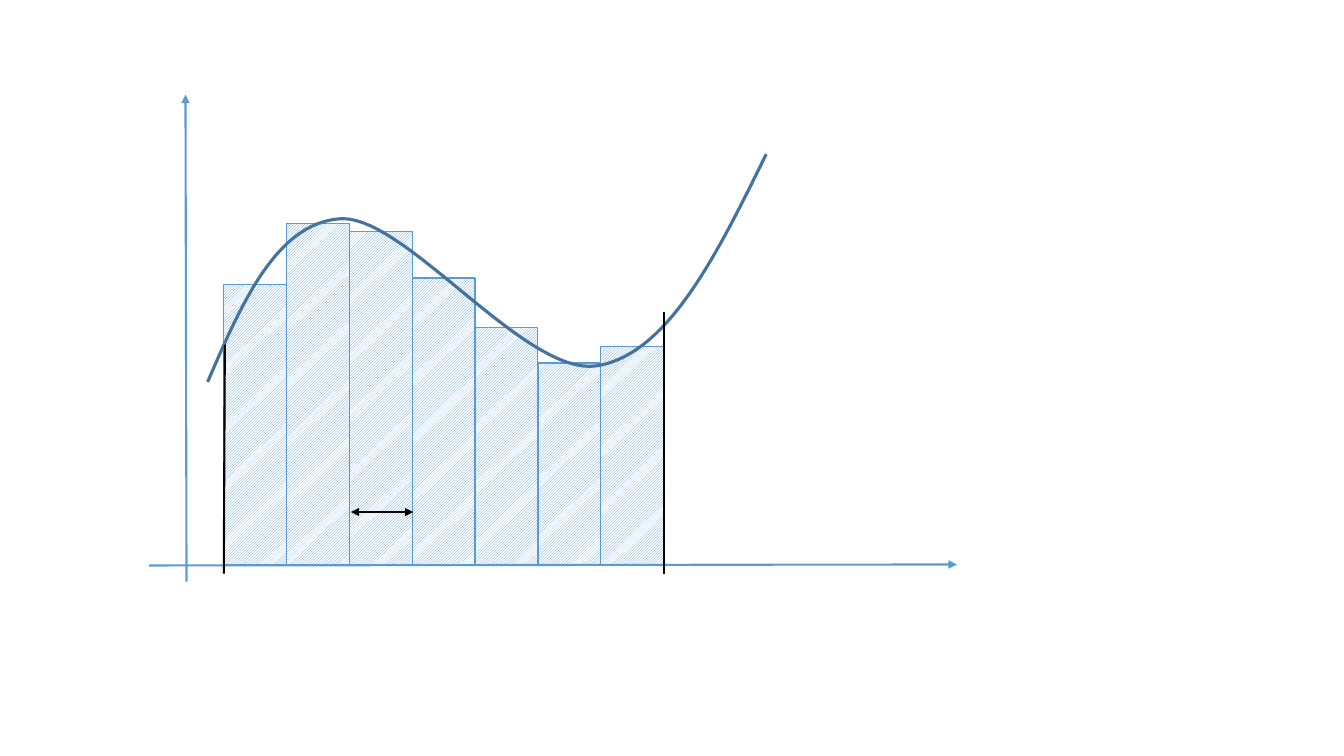
from lxml.etree import SubElement
from pptx import Presentation
from pptx.dml.color import RGBColor
from pptx.enum.dml import MSO_PATTERN
from pptx.enum.shapes import MSO_CONNECTOR, MSO_SHAPE
from pptx.oxml.ns import qn
from pptx.util import Inches, Pt

BLUE = RGBColor(0x5B, 0x9B, 0xD5)
CURVE_BLUE = RGBColor(0x43, 0x73, 0x9E)
BLACK = RGBColor(0, 0, 0)
WHITE = RGBColor(255, 255, 255)

deck = Presentation()
deck.slide_width, deck.slide_height = Inches(13.33), Inches(7.5)
page = deck.slides.add_slide(deck.slide_layouts[6])
diagram = page.shapes.add_group_shape().shapes


def add_line(start, end, color, arrows=()):
    line = diagram.add_connector(
        MSO_CONNECTOR.STRAIGHT, *(Inches(value) for value in start + end))
    line.line.color.rgb = color
    line.line.width = Pt(1.5)
    for arrow in arrows:
        SubElement(line.line._get_or_add_ln(), qn(f"a:{arrow}"), type="triangle")
    SubElement(line._element.spPr, qn("a:effectLst"))


# Hatched bars of equal width on the horizontal axis, drawn right to left
FIRST_LEFT, BAR_WIDTH, BASELINE = 2.22, 0.623, 5.6
bar_tops = [2.82, 2.22, 2.3, 2.76, 3.25, 3.6, 3.44]
for column, top in reversed(list(enumerate(bar_tops))):
    bar = diagram.add_shape(
        MSO_SHAPE.RECTANGLE, Inches(FIRST_LEFT + column * BAR_WIDTH), Inches(top),
        Inches(BAR_WIDTH), Inches(BASELINE - top))
    bar.shadow.inherit = False
    bar.fill.patterned()
    bar.fill.pattern = MSO_PATTERN.LIGHT_UPWARD_DIAGONAL
    bar.fill.fore_color.rgb = BLUE
    bar.fill.back_color.rgb = WHITE
    bar.line.color.rgb = BLUE
    bar.line.width = Pt(1)

# Axes
add_line((1.85, 5.77), (1.84, 0.94), BLUE, ["tailEnd"])
add_line((1.48, 5.61), (9.49, 5.6), BLUE, ["tailEnd"])

# Function curve: three cubic Bezier spans, each sampled in equal steps
STEPS = 30
knots = [(2.06, 3.79), (2.4, 3), (2.75, 2.2), (3.39, 2.17), (4.03, 2.15),
         (5.22, 3.74), (5.92, 3.63), (6.62, 3.52), (7.11, 2.53), (7.6, 1.53)]
points = []
for first in range(0, len(knots) - 1, 3):
    controls = knots[first:first + 4]
    for step in range(1, STEPS + 1):
        t = step / STEPS
        weights = [(1 - t) ** 3, 3 * t * (1 - t) ** 2, 3 * t ** 2 * (1 - t), t ** 3]
        points.append(tuple(
            Inches(sum(weight * value for weight, value in zip(weights, axis)))
            for axis in zip(*controls)))
start_x, start_y = knots[0]
builder = diagram.build_freeform(Inches(start_x), Inches(start_y))
builder.add_line_segments(points, close=False)
curve = builder.convert_to_shape()
curve.shadow.inherit = False
curve.fill.background()
curve.line.color.rgb = CURVE_BLUE
curve.line.width = Pt(2.25)

# Bar width arrow and the two interval limits
add_line((3.48, 5.08), (4.1, 5.08), BLACK, ["headEnd", "tailEnd"])
add_line((2.23, 3.42), (2.22, 5.69), BLACK)
add_line((6.59, 3.1), (6.59, 5.69), BLACK)

deck.save("out.pptx")
